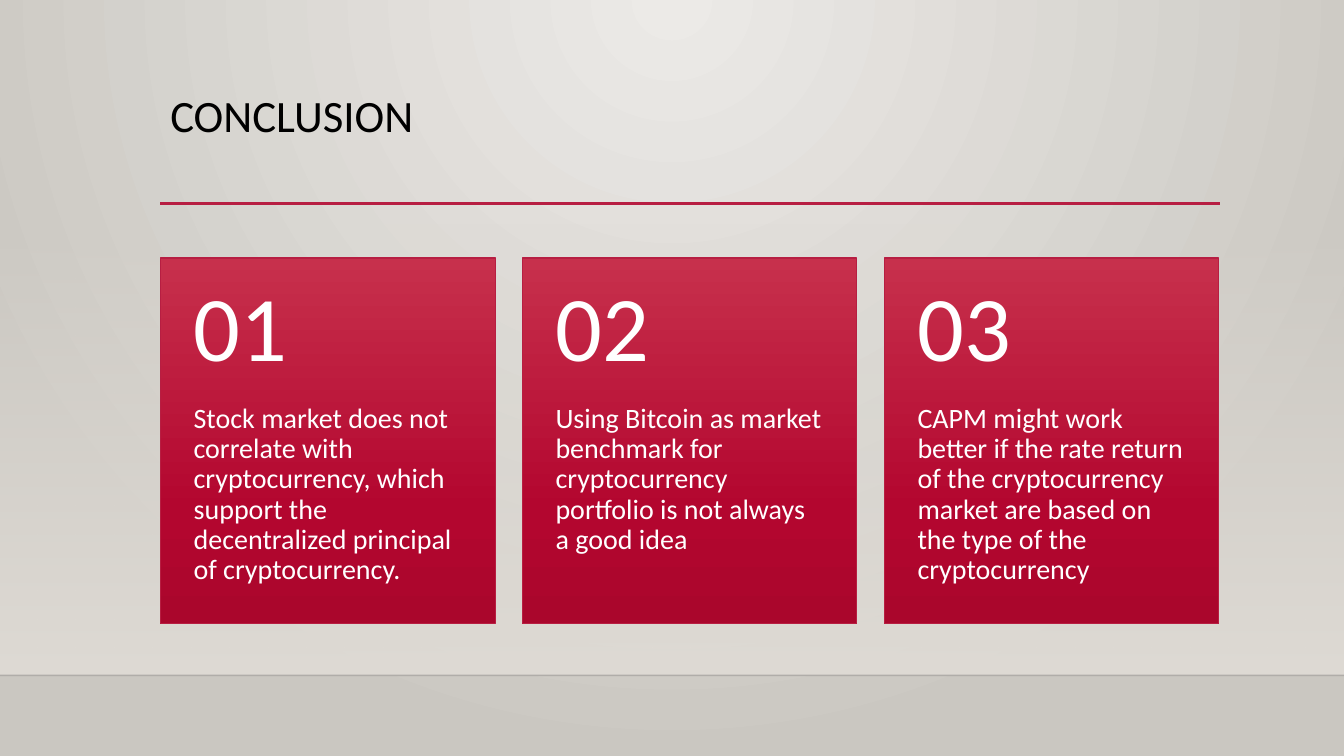
"""Build the conclusion slide with three numbered cards."""
from pptx import Presentation, util as u
from pptx.dml.color import RGBColor
from pptx.enum import shapes, text
from pptx.oxml import parse_xml
from pptx.oxml.ns import nsdecls, qn

WIDE, HIGH = 13.33, 7.5
LEFT, RIGHT = 1.59, 12.1
TOP, HEAD, BODY = 2.56, 1.45, 2.18
CARD, STEP = 3.32, 3.59
FLOOR = 6.7
FONT = "Calibri"
HUES = {"ink": "000000", "white": "FFFFFF", "red": "B71E42", "edge": "000001",
        "light": "C7304C", "mid": "B3062F", "deep": "AA062C",
        "glow": "ECEAE7", "dusk": "CAC7C1", "wall": "DFDBD5"}
DOWN = '<a:lin ang="5400000" scaled="0"/>'
ROUND = '<a:path path="circle"><a:fillToRect l="43000" r="43000" b="100000"/></a:path>'
POINTS = [
    "Stock market does not correlate with cryptocurrency, which support the "
    "decentralized principal of cryptocurrency.",
    "Using Bitcoin as market benchmark for cryptocurrency portfolio is not "
    "always a good idea",
    "CAPM might work better if the rate return of the cryptocurrency market "
    "are based on the type of the cryptocurrency",
]


def color(name):
    """Return a named colour."""
    return RGBColor.from_string(HUES[name])


def blend(owner, root, stops, mode=DOWN):
    """Fill owner with a gradient of (percent, colour, alpha) stops."""
    owner.fill.gradient()
    old = root.find(".//" + qn("a:gradFill"))
    marks = "".join(
        f'<a:gs pos="{pos * 1000}"><a:srgbClr val="{HUES[hue]}">'
        f'<a:alpha val="{alpha * 1000}"/></a:srgbClr></a:gs>'
        for pos, hue, alpha in stops)
    new = parse_xml(f'<a:gradFill {nsdecls("a")} rotWithShape="1">'
                    f'<a:gsLst>{marks}</a:gsLst>{mode}</a:gradFill>')
    old.getparent().replace(old, new)


def panel(slide, box, stops, edge=None):
    """Add a gradient rectangle, with an outline if edge is given."""
    rect = slide.shapes.add_shape(shapes.MSO_SHAPE.RECTANGLE, *map(u.Inches, box))
    rect.shadow.inherit = False
    blend(rect, rect._element, stops)
    if edge:
        rect.line.color.rgb = color(edge)
        rect.line.width = u.Pt(0.75)
    else:
        rect.line.fill.background()


def rule(slide, start, end, row, hue, width, alpha=100):
    """Add a horizontal line."""
    line = slide.shapes.add_connector(
        shapes.MSO_CONNECTOR.STRAIGHT, *map(u.Inches, (start, row, end, row)))
    line.line.color.rgb = color(hue)
    line.line.width = u.Pt(width)
    tint = line._element.find(".//" + qn("a:srgbClr"))
    tint.append(parse_xml(f'<a:alpha {nsdecls("a")} val="{alpha * 1000}"/>'))
    line._element.spPr.append(parse_xml(f'<a:effectLst {nsdecls("a")}/>'))


def label(slide, box, words, size, hue, pads, anchor=text.MSO_ANCHOR.TOP):
    """Add a wrapped text box with the given insets."""
    frame = slide.shapes.add_textbox(*map(u.Inches, box)).text_frame
    frame.word_wrap = True
    frame.vertical_anchor = anchor
    (frame.margin_left, frame.margin_top,
     frame.margin_right, frame.margin_bottom) = map(u.Inches, pads)
    para = frame.paragraphs[0]
    para.text = words
    para.line_spacing = 0.9
    para.font.name, para.font.size = FONT, u.Pt(size)
    para.font.color.rgb = color(hue)


def card(slide, col, words):
    """Add one numbered card in the given column."""
    left = LEFT + col * STEP
    panel(slide, (left, TOP, CARD, HEAD + BODY),
          [(0, "light", 100), (69, "mid", 100), (100, "deep", 100)], "red")
    label(slide, (left, TOP + HEAD, CARD, BODY), words, 20, "white",
          (0.33, 0, 0.33, 0.36))
    label(slide, (left, TOP, CARD, HEAD), f"{col + 1:02}", 66, "white",
          (0.33, 0.18, 0.33, 0.18), text.MSO_ANCHOR.MIDDLE)


def main():
    """Build and save the slide."""
    deck = Presentation()
    deck.slide_width, deck.slide_height = u.Inches(WIDE), u.Inches(HIGH)
    slide = deck.slides.add_slide(deck.slide_layouts[6])
    blend(slide.background, slide._element,
          [(0, "glow", 100), (100, "dusk", 100)], ROUND)
    panel(slide, (0, 2.21, WIDE, FLOOR - 2.21),
          [(0, "wall", 0), (100, "wall", 100)])
    rule(slide, 0, WIDE, FLOOR, "edge", 1, 20)
    rule(slide, LEFT, RIGHT, 2.02, "red", 2.5)
    label(slide, (LEFT, 0.88, RIGHT - LEFT, 1.15), "CONCLUSION", 32, "ink",
          (0.1, 0.05, 0.1, 0.05))
    for col, words in enumerate(POINTS):
        card(slide, col, words)
    deck.save("out.pptx")


if __name__ == "__main__":
    main()
